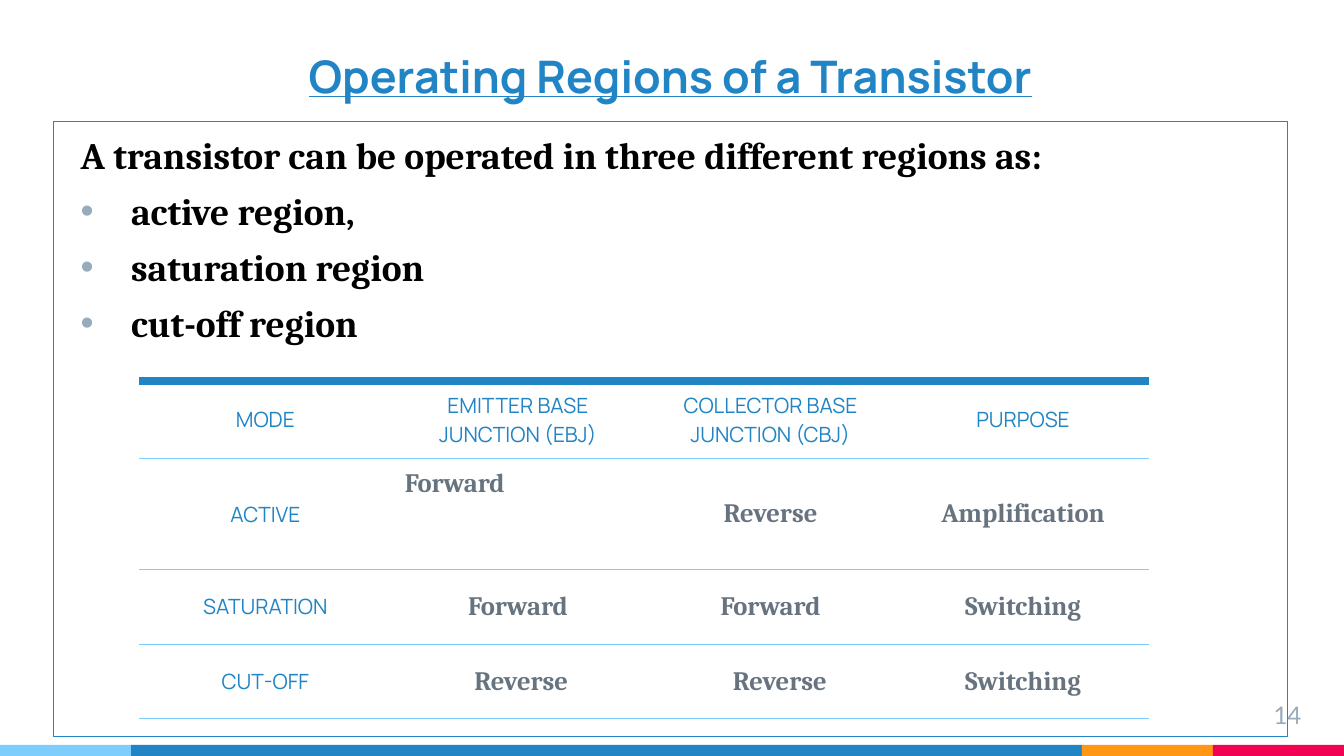
from lxml import etree
from pptx import Presentation
from pptx.dml.color import RGBColor
from pptx.enum.shapes import MSO_SHAPE
from pptx.enum.text import MSO_ANCHOR, MSO_AUTO_SIZE, PP_ALIGN
from pptx.oxml.ns import qn
from pptx.util import Inches, Pt

RECTANGLE = MSO_SHAPE.RECTANGLE
TOP, MIDDLE, BOTTOM = MSO_ANCHOR.TOP, MSO_ANCHOR.MIDDLE, MSO_ANCHOR.BOTTOM
LEFT, CENTER = PP_ALIGN.LEFT, PP_ALIGN.CENTER
NO_AUTOFIT = MSO_AUTO_SIZE.NONE

COLORS = {
    "blue": "2185C5",
    "sky": "7ECEFD",
    "orange": "FF9715",
    "red": "F20253",
    "bullet": "97ABBC",
    "gray": "677480",
    "black": "000000",
}
FOOTER_BANDS = [("sky", 1.3), ("blue", 9.43), ("orange", 1.3), ("red", 1.3)]
REGIONS = ["active region,", "saturation region", "cut-off region"]
TABLE_ROWS = [
    ["MODE", "EMITTER BASE JUNCTION (EBJ)", "COLLECTOR BASE JUNCTION (CBJ)", "PURPOSE"],
    ["ACTIVE", "Forward", "Reverse", "Amplification"],
    ["SATURATION", "Forward", "Forward", "Switching"],
    ["CUT-OFF", "Reverse", "Reverse", "Switching"],
]
ROW_HEIGHTS = [0.77, 1.1, 0.74, 0.74]
CELL_MARGIN = 0.13
LEFT_CELLS = {(1, 1): (CELL_MARGIN, TOP), (3, 1): (0.82, MIDDLE), (3, 2): (0.88, MIDDLE)}


def rgb(name):
    return RGBColor.from_string(COLORS[name])


def add_span(para, text, size, font, color, bold=False, underline=False):
    span = para.add_run()
    span.text = text
    span.font.size = Pt(size)
    span.font.name = font
    span.font.bold = bold
    span.font.underline = underline
    span.font.color.rgb = rgb(color)


def place(shape, left, top, width, height):
    shape.left, shape.top = Inches(left), Inches(top)
    shape.width, shape.height = Inches(width), Inches(height)


def prepare_frame(box, anchor):
    frame = box.text_frame
    frame.word_wrap = True
    frame.auto_size = NO_AUTOFIT
    frame.vertical_anchor = anchor
    frame.margin_left = frame.margin_right = Inches(0.1)
    frame.margin_top = frame.margin_bottom = Inches(0.1)
    return frame


def set_bullet(para, symbol, left, indent):
    properties = para._p.get_or_add_pPr()
    properties.set("marL", str(Inches(left)))
    properties.set("indent", str(Inches(indent)))
    if symbol:
        color = etree.SubElement(properties, qn("a:buClr"))
        etree.SubElement(color, qn("a:srgbClr"), val=COLORS["bullet"])
        etree.SubElement(properties, qn("a:buFont"), typeface="Arial")
        etree.SubElement(properties, qn("a:buChar"), char=symbol)
    else:
        etree.SubElement(properties, qn("a:buNone"))


def add_footer_bands(page):
    left = 0
    for color, width in FOOTER_BANDS:
        band = page.shapes.add_shape(
            RECTANGLE, Inches(left), Inches(7.39), Inches(width), Inches(0.11))
        band.shadow.inherit = False
        band.fill.solid()
        band.fill.fore_color.rgb = rgb(color)
        band.line.fill.background()
        left += width


def fill_title(title):
    place(title, 0.86, 0.01, 11.58, 1.11)
    para = prepare_frame(title, BOTTOM).paragraphs[0]
    para.alignment = CENTER
    add_span(para, "Operating Regions of a Transistor", 32, "Manrope", "blue", True, True)


def fill_body(body):
    place(body, 0.53, 1.21, 12.24, 6.1)
    body.line.color.rgb = rgb("blue")
    body.line.width = Pt(0.75)
    frame = prepare_frame(body, TOP)
    intro = frame.paragraphs[0]
    lines = [(intro, "A transistor can be operated in three different regions as:")]
    lines += [(frame.add_paragraph(), region) for region in REGIONS]
    for para, text in lines:
        if para is intro:
            set_bullet(para, None, 0.17, 0)
        else:
            set_bullet(para, "•", 0.67, -0.5)
        para.space_before = Pt(0 if para is intro else 8)
        add_span(para, text, 26.7, "Cambria", "black", True)


def add_page_number(page):
    box = page.shapes.add_textbox(Inches(12.37), Inches(6.85), Inches(0.8), Inches(0.46))
    para = prepare_frame(box, TOP).paragraphs[0]
    para.alignment = CENTER
    add_span(para, "14", 17.3, "Lato", "bullet")


def set_borders(cell, top, bottom):
    properties = cell._tc.get_or_add_tcPr()
    edges = [("a:lnL", None), ("a:lnR", None), ("a:lnT", top), ("a:lnB", bottom)]
    for position, (tag, border) in enumerate(edges):
        line = etree.Element(qn(tag))
        if border:
            color, width = border
            line.set("w", str(Pt(width)))
            fill = etree.SubElement(line, qn("a:solidFill"))
            etree.SubElement(fill, qn("a:srgbClr"), val=COLORS[color])
        else:
            etree.SubElement(line, qn("a:noFill"))
        properties.insert(position, line)


def fill_cell(cell, text, row, column):
    margin, anchor = LEFT_CELLS.get((row, column), (CELL_MARGIN, MIDDLE))
    cell.fill.background()
    cell.margin_left, cell.margin_right = Inches(margin), Inches(CELL_MARGIN)
    cell.margin_top = cell.margin_bottom = Inches(0.1)
    cell.vertical_anchor = anchor
    thin = ("sky", 0.75)
    set_borders(cell, ("blue", 6) if row == 0 else thin, thin)
    para = cell.text_frame.paragraphs[0]
    para.alignment = LEFT if (row, column) in LEFT_CELLS else CENTER
    if row == 0 or column == 0:
        add_span(para, text, 15, "Manrope", "blue")
    else:
        add_span(para, text, 19, "Cambria", "gray", True)


def add_modes_table(page):
    table = page.shapes.add_table(
        len(TABLE_ROWS), len(TABLE_ROWS[0]), Inches(1.38), Inches(3.78),
        Inches(10.02), Inches(sum(ROW_HEIGHTS))).table
    table.first_row = table.horz_banding = False
    for row, texts in enumerate(TABLE_ROWS):
        table.rows[row].height = Inches(ROW_HEIGHTS[row])
        for column, text in enumerate(texts):
            fill_cell(table.cell(row, column), text, row, column)


def main():
    deck = Presentation()
    deck.slide_width, deck.slide_height = Inches(13.33), Inches(7.5)
    page = deck.slides.add_slide(deck.slide_layouts[1])
    fill_title(page.shapes.title)
    fill_body(page.placeholders[1])
    add_footer_bands(page)
    add_page_number(page)
    add_modes_table(page)
    deck.save("out.pptx")


if __name__ == "__main__":
    main()
